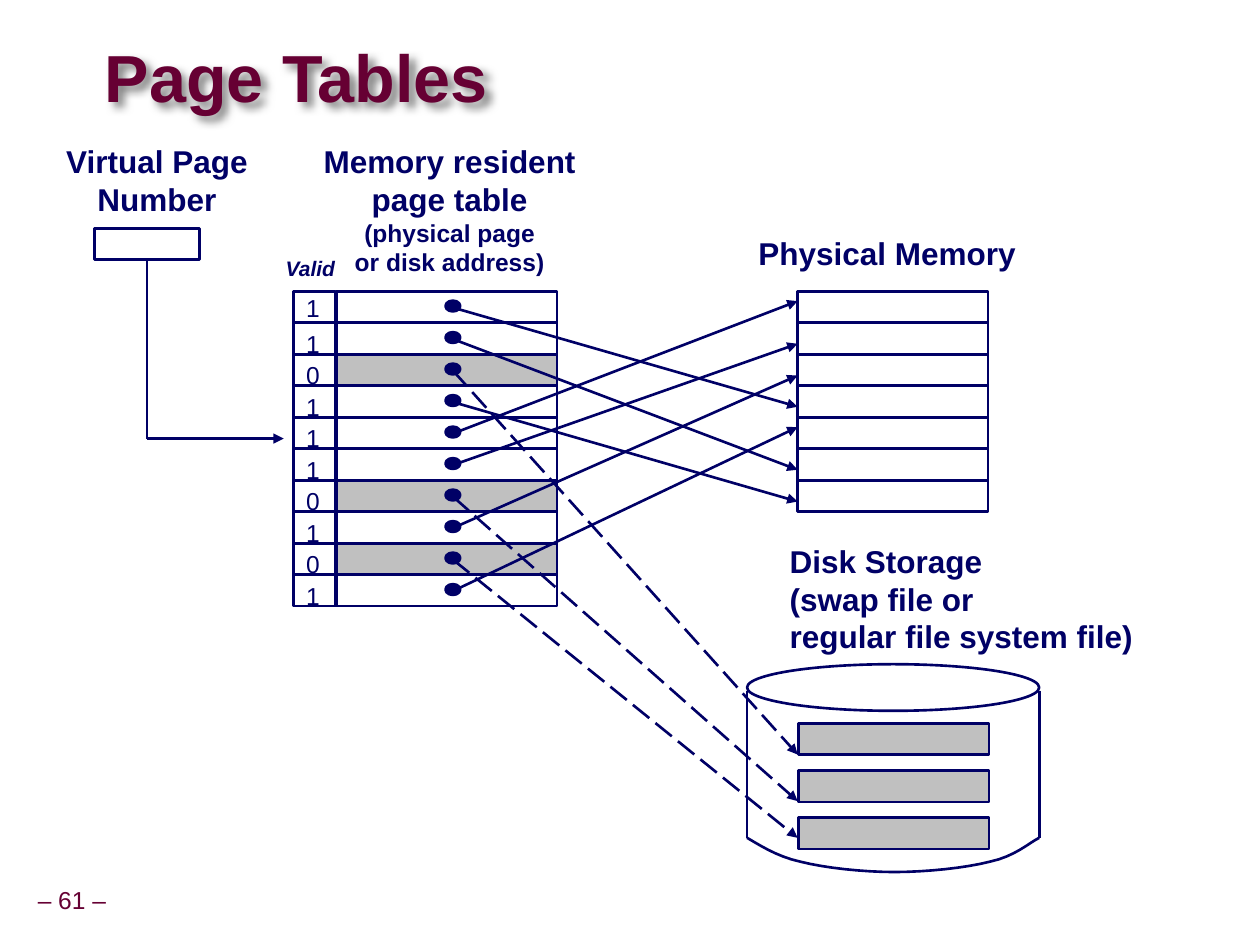
from dataclasses import dataclass

from lxml.etree import SubElement
from pptx import Presentation
from pptx.dml.color import RGBColor
from pptx.enum.dml import MSO_LINE as Dash
from pptx.enum.shapes import MSO_CONNECTOR as Conn, MSO_SHAPE as Kind
from pptx.enum.text import MSO_ANCHOR as Anchor, MSO_AUTO_SIZE as Fit, PP_ALIGN as Align
from pptx.oxml.ns import qn
from pptx.util import Cm, Pt

NAVY = RGBColor(0x00, 0x00, 0x66)
WINE = RGBColor(0x66, 0x00, 0x33)
GREY = RGBColor(0xC0, 0xC0, 0xC0)
WHITE = RGBColor(0xFF, 0xFF, 0xFF)
BLACK = RGBColor(0x00, 0x00, 0x00)
FONT = "Arial"

# All measures are in centimetres.
TOP = 5.87
ROW = 6.35 / 10
BIT_X, BIT_W = 5.92, 0.84
PAGE_X, PAGE_W = 6.78, 4.45
DOT_X, DOT_W, DOT_H = 8.99, 0.28, 0.2
MEM_X, MEM_W, MEM_ROWS = 16.08, 3.84, 7
DISK_X, DISK_Y, DISK_W, DISK_STEP = 15.06, 13.39, 5.89, 0.95
SIDE_TOP, SIDE_END = 13.92, 16.89
BASE = [
    (DISK_X, SIDE_END),
    (15.24, 16.99), (15.65, 17.27), (16.13, 17.37),
    (16.64, 17.5), (17.4, 17.58), (18.03, 17.58),
    (18.67, 17.58), (19.46, 17.5), (19.96, 17.37),
    (20.45, 17.27), (20.75, 16.99), (DISK_X + DISK_W, SIDE_END),
]


@dataclass
class Entry:
    """A page table row: its valid bit and the height its arrow points to."""
    valid: int
    goal: float


@dataclass
class Label:
    lines: list[tuple[str, int]]
    x: float
    y: float
    w: float
    h: float
    align: Align = Align.LEFT
    bold: bool = True
    italic: bool = False
    color: RGBColor = NAVY


ENTRIES = [
    Entry(1, 8.2), Entry(1, 9.47), Entry(0, 15.21), Entry(1, 10.11), Entry(1, 6.07),
    Entry(1, 6.93), Entry(0, 16.15), Entry(1, 7.57), Entry(0, 16.89), Entry(1, 8.61),
]
LABELS = [
    Label([("Virtual Page", 18), ("Number", 18)], 1.07, 2.74, 4.19, 1.78, Align.CENTER),
    Label([("Memory resident", 18), ("page table", 18), ("(physical page", 14),
           ("or disk address)", 14)], 6.27, 2.74, 5.59, 2.97, Align.CENTER),
    Label([("Physical Memory", 18)], 15.04, 4.6, 5.69, 1.02),
    Label([("Disk Storage", 18), ("(swap file or", 18),
           ("regular file system file)", 18)], 15.67, 10.8, 7.44, 2.54),
    Label([("Valid", 12)], 5.51, 5.03, 1.7, 0.76, italic=True),
]


def add_box(slide, x: float, y: float, w: float, h: float = ROW,
            fill: RGBColor | None = None, kind=Kind.RECTANGLE, width: float = 1.5):
    box = slide.shapes.add_shape(kind, Cm(x), Cm(y), Cm(w), Cm(h))
    if fill is None:
        box.fill.background()
    else:
        box.fill.solid()
        box.fill.fore_color.rgb = fill
    box.line.color.rgb = NAVY
    box.line.width = Pt(width)
    box.shadow.inherit = False
    return box


def add_line(slide, x1: float, y1: float, x2: float, y2: float,
             arrow: bool = False, dashed: bool = False):
    line = slide.shapes.add_connector(Conn.STRAIGHT, Cm(x1), Cm(y1), Cm(x2), Cm(y2))
    line.line.color.rgb = NAVY
    line.line.width = Pt(1.5)
    if dashed:
        line.line.dash_style = Dash.LONG_DASH
    if arrow:
        SubElement(line.line._get_or_add_ln(), qn("a:tailEnd"), type="triangle")
    SubElement(line._element.spPr, qn("a:effectLst"))
    return line


def add_label(slide, label: Label):
    box = slide.shapes.add_textbox(Cm(label.x), Cm(label.y), Cm(label.w), Cm(label.h))
    frame = box.text_frame
    frame.word_wrap = False
    frame.text = "\n".join(text for text, _ in label.lines)
    for para, (_, size) in zip(frame.paragraphs, label.lines):
        para.alignment = label.align
        font = para.font
        font.name, font.size, font.color.rgb = FONT, Pt(size), label.color
        font.bold, font.italic = label.bold, label.italic
    return frame


def add_title(slide) -> None:
    title = slide.shapes.title
    title.left, title.top, title.width, title.height = Cm(2.11), Cm(0.84), Cm(14.45), Cm(1.6)
    frame = title.text_frame
    frame.text = "Page Tables"
    frame.auto_size = Fit.NONE
    frame.vertical_anchor = Anchor.MIDDLE
    frame.margin_left = frame.margin_right = frame.margin_top = frame.margin_bottom = 0
    para = frame.paragraphs[0]
    para.alignment, para.line_spacing = Align.LEFT, 0.87
    font = para.font
    font.name, font.size, font.bold, font.color.rgb = FONT, Pt(38), True, WINE
    effects = SubElement(title._element.spPr, qn("a:effectLst"))
    shade = SubElement(effects, qn("a:outerShdw"), blurRad="63500", dist="53900", dir="2700000")
    color = SubElement(shade, qn("a:srgbClr"), val=str(BLACK))
    SubElement(color, qn("a:alpha"), val="50000")


def add_table_rows(slide) -> None:
    for i, entry in enumerate(ENTRIES):
        y = TOP + i * ROW
        add_box(slide, PAGE_X, y, PAGE_W, fill=WHITE if entry.valid else GREY)
        add_box(slide, BIT_X, y, BIT_W)
        drop = 0 if i else -0.08
        add_label(slide, Label([(str(entry.valid), 14)], BIT_X, y + drop, 0.79, 0.84, bold=False))
    for i in range(len(ENTRIES)):
        add_box(slide, DOT_X, TOP + i * ROW + 0.2, DOT_W, DOT_H, NAVY, Kind.OVAL, 2)


def add_arrows(slide) -> None:
    for i, entry in enumerate(ENTRIES):
        add_line(slide, DOT_X + DOT_W / 2, TOP + i * ROW + 0.33, MEM_X, entry.goal,
                 arrow=True, dashed=not entry.valid)


def bend(points: list, steps: int = 8) -> list:
    """Sample a chain of cubic Bézier curves."""
    out = [points[0]]
    for k in range(0, len(points) - 1, 3):
        a, b, c, d = points[k:k + 4]
        for n in range(1, steps + 1):
            t = n / steps
            u = 1 - t
            out.append(tuple(u**3 * p + 3 * u * u * t * q + 3 * u * t * t * r + t**3 * s
                             for p, q, r, s in zip(a, b, c, d)))
    return out


def add_disk(slide) -> None:
    add_box(slide, DISK_X, DISK_Y, DISK_W, 0.94, kind=Kind.OVAL)
    for x in (DISK_X, DISK_X + DISK_W):
        add_line(slide, x, SIDE_TOP, x, SIDE_END)
    first, *rest = [(Cm(x), Cm(y)) for x, y in bend(BASE)]
    pen = slide.shapes.build_freeform(*first)
    pen.add_line_segments(rest, close=False)
    base = pen.convert_to_shape()
    base.fill.background()
    base.line.color.rgb = NAVY
    base.line.width = Pt(1.5)
    base.shadow.inherit = False
    for i in range(3):
        add_box(slide, 16.1, DISK_Y + 1.19 + i * DISK_STEP, MEM_W, fill=GREY)


def add_lookup(slide) -> None:
    """Draw the virtual page number and its path to the table."""
    x, y, w = 1.9, 4.6, 2.12
    mid, turn = x + w / 2, 8.84
    box = add_box(slide, x, y, w, fill=WHITE)
    add_line(slide, mid, y + ROW, mid, turn).begin_connect(box, 2)
    add_line(slide, mid, turn, 5.72, turn, arrow=True)


def main() -> None:
    deck = Presentation()
    deck.slide_width, deck.slide_height = Cm(25.4), Cm(19.05)
    slide = deck.slides.add_slide(deck.slide_layouts[5])
    add_title(slide)
    add_table_rows(slide)
    for i in range(MEM_ROWS):
        add_box(slide, MEM_X, TOP + i * ROW, MEM_W, fill=WHITE)
    add_arrows(slide)
    add_disk(slide)
    add_lookup(slide)
    for label in LABELS:
        add_label(slide, label)
    number = add_label(slide, Label([("– 61 –", 14)], 0.61, 17.78, 1.68, 0.79,
                                    Align.CENTER, bold=False, color=WINE))
    number.vertical_anchor = Anchor.MIDDLE
    number.margin_left = number.margin_right = Cm(0.13)
    number.paragraphs[0].line_spacing = 0.9
    deck.save("out.pptx")


if __name__ == "__main__":
    main()
